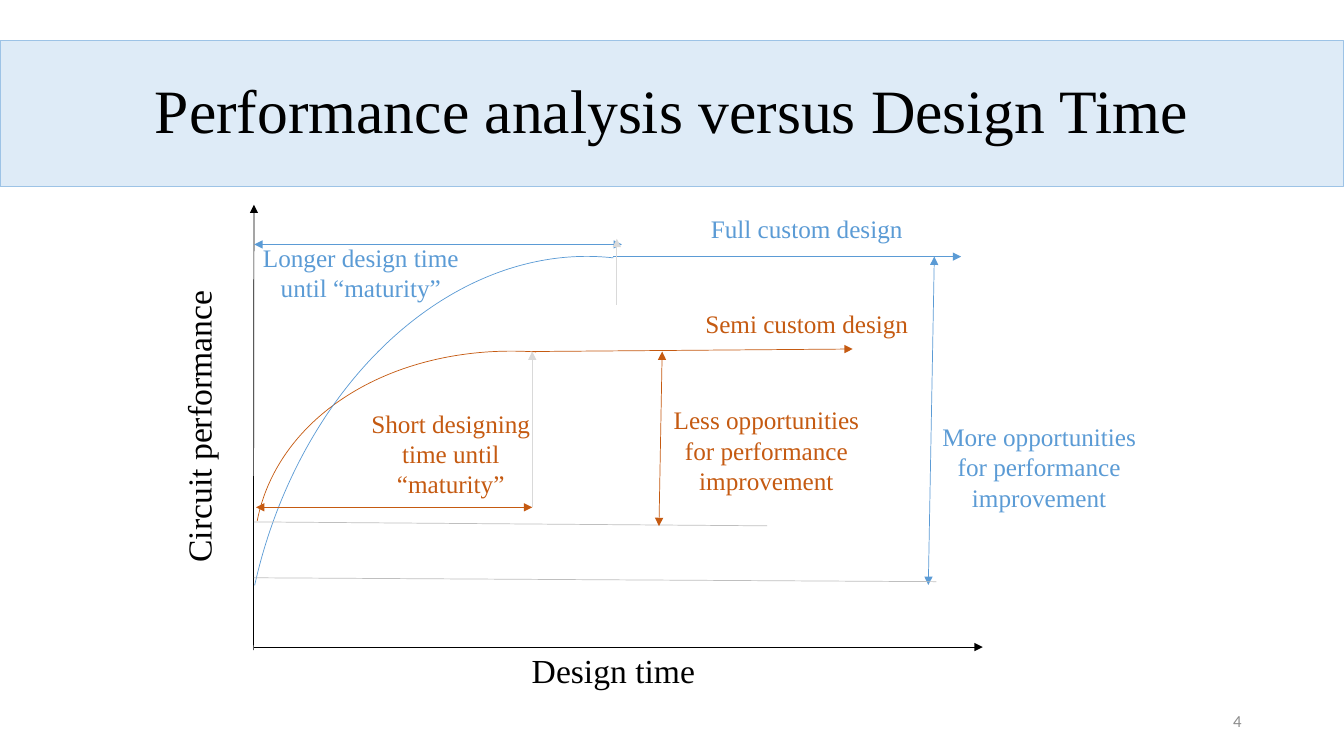
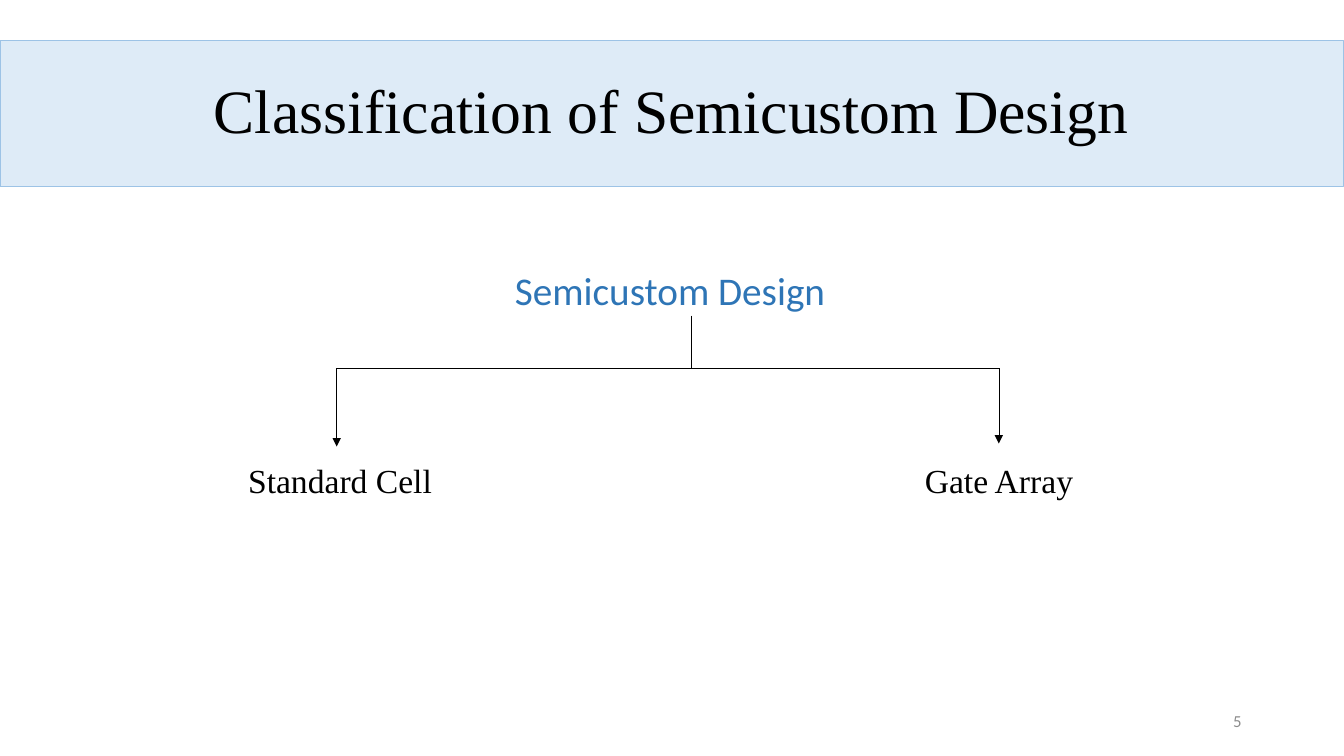
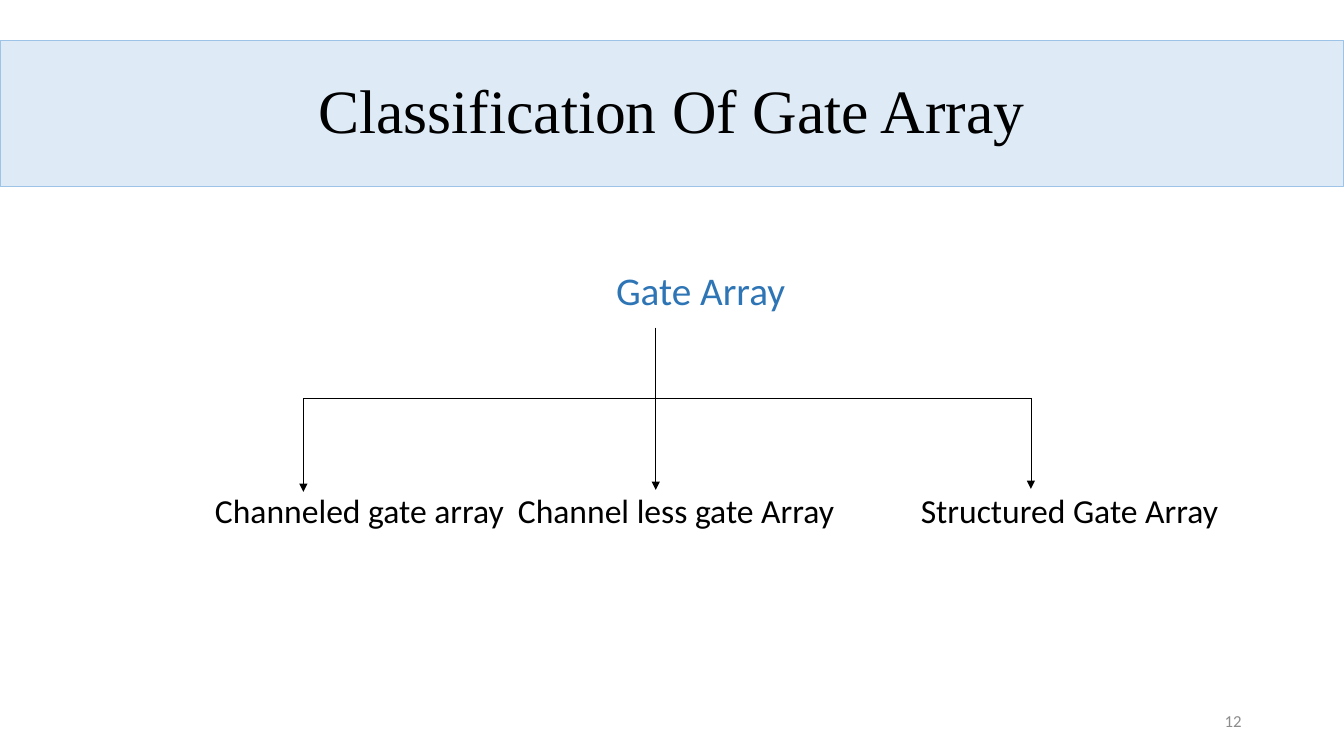
"""Build three slides on design time, semicustom design and gate arrays."""
from dataclasses import dataclass
from typing import NamedTuple

from lxml.etree import SubElement
from pptx import Presentation
from pptx.dml.color import RGBColor
from pptx.enum.shapes import MSO_CONNECTOR, MSO_SHAPE
from pptx.enum.text import MSO_ANCHOR as Anchor, PP_ALIGN as Align
from pptx.oxml.ns import qn
from pptx.slide import Slide
from pptx.text.text import TextFrame
from pptx.util import Pt

BLACK = RGBColor(0x00, 0x00, 0x00)
BAND_FILL = RGBColor(0xDE, 0xEB, 0xF7)
BAND_LINE = RGBColor(0x9D, 0xC3, 0xE6)
FULL_BLUE = RGBColor(0x5B, 0x9B, 0xD5)
ROOT_BLUE = RGBColor(0x2E, 0x75, 0xB6)
SEMI_ORANGE = RGBColor(0xC5, 0x5A, 0x11)
GUIDE_GREY = RGBColor(0xBF, 0xBF, 0xBF)
PALE_GREY = RGBColor(0xD9, 0xD9, 0xD9)
NUMBER_GREY = RGBColor(0x8C, 0x8C, 0x8C)

SERIF = "Times New Roman"
SANS = "Calibri"
SLIDE_WIDTH, SLIDE_HEIGHT = 960, 540
HAIRLINE = 0.5
NODE_WIDTH, NODE_HEIGHT = 246, 36


@dataclass(frozen=True)
class Label:
    text: str
    left: float
    top: float
    width: float
    height: float
    color: RGBColor = BLACK
    size: float = 18
    font: str = SERIF
    align: Align = Align.CENTER
    anchor: Anchor = Anchor.TOP
    wrap: bool = True
    rotation: float = 0


@dataclass(frozen=True)
class Stroke:
    start: tuple[float, float]
    end: tuple[float, float]
    color: RGBColor = BLACK
    head: bool = False
    tail: bool = False


@dataclass(frozen=True)
class Curve:
    left: float
    top: float
    width: float
    height: float
    color: RGBColor
    angles: tuple[float, float]
    rotation: float = 281


class Branch(NamedTuple):
    text: str
    center: float
    drop_x: float
    tip_y: float


@dataclass(frozen=True)
class Tree:
    root: str
    root_center: float
    stem_x: float
    stem_top: float
    rail_y: float
    leaf_y: float
    leaf_font: str
    branches: tuple[Branch, ...]


CURVES = (
    Curve(226.8, 205.9, 316.8, 410.4, SEMI_ORANGE, (162, 208.94)),
    Curve(106.6, 250, 578.9, 440.6, FULL_BLUE, (163.63, 214.43)),
)

STROKES = (
    Stroke((181, 464.4), (181.4, 146.2), tail=True),
    Stroke((181.4, 462.2), (702, 462.2), tail=True),
    Stroke((380.2, 251.1), (609.1, 249.3), SEMI_ORANGE, tail=True),
    Stroke((437.8, 183.3), (686.6, 183.3), FULL_BLUE, tail=True),
    Stroke((181.4, 372.8), (547.9, 375.6), GUIDE_GREY),
    Stroke((473, 251.1), (470.7, 375.8), SEMI_ORANGE, head=True, tail=True),
    Stroke((667.4, 183.3), (663.1, 417.8), FULL_BLUE, head=True, tail=True),
    Stroke((181.4, 412.7), (668.9, 415.5), GUIDE_GREY),
    Stroke((182.9, 362.4), (380.2, 362.4), SEMI_ORANGE, head=True, tail=True),
    Stroke((380.2, 362.4), (380.2, 251.1), PALE_GREY, tail=True),
    Stroke((181.6, 174.6), (444.2, 174.6), FULL_BLUE, head=True, tail=True),
    Stroke((440.6, 217.7), (440.6, 170.6), PALE_GREY, tail=True),
)

LABELS = (
    Label("Design time", 371.9, 460.8, 132.5, 36, size=24, wrap=False),
    Label("Circuit performance", 36.5, 286.8, 210.2, 36, size=24, wrap=False, rotation=270),
    Label("Full custom design", 494.6, 149, 163.4, 28.8, FULL_BLUE),
    Label("Semi custom design", 494.6, 216.7, 163.4, 28.8, SEMI_ORANGE),
    Label("Less opportunities for performance improvement", 465.8, 285.6, 163.4, 72.7, SEMI_ORANGE),
    Label("More opportunities for performance improvement", 660.6, 297.4, 163.4, 72.7, FULL_BLUE),
    Label("Short designing time until “maturity”", 254.7, 288, 134.6, 72.7, SEMI_ORANGE),
    Label("Longer design time until “maturity”", 176.1, 169.6, 163.4, 51.1, FULL_BLUE),
)

SEMICUSTOM = Tree(
    "Semicustom Design", 478.6, 494, 225.4, 263, 342.7, SERIF,
    (
        Branch("Standard Cell", 242.9, 240.5, 319),
        Branch("Gate Array", 713.6, 713.5, 316.8),
    ),
)

GATE_ARRAY = Tree(
    "Gate Array", 500.4, 468.4, 234, 284.4, 364, SANS,
    (
        Branch("Channeled gate array", 256.8, 216.7, 351.4),
        Branch("Channel less gate Array", 482.9, 468.4, 350),
        Branch("Structured Gate Array", 764, 736.4, 349.2),
    ),
)


def write_text(frame: TextFrame, text: str, size: float, font: str, color: RGBColor, align: Align) -> None:
    frame.text = text
    paragraph = frame.paragraphs[0]
    paragraph.alignment = align
    for run in paragraph.runs:
        run.font.size = Pt(size)
        run.font.name = font
        run.font.color.rgb = color


def draw_label(slide: Slide, label: Label) -> None:
    box = slide.shapes.add_textbox(Pt(label.left), Pt(label.top), Pt(label.width), Pt(label.height))
    box.rotation = label.rotation
    frame = box.text_frame
    frame.word_wrap = label.wrap
    frame.vertical_anchor = label.anchor
    write_text(frame, label.text, label.size, label.font, label.color, label.align)


def draw_stroke(slide: Slide, stroke: Stroke) -> None:
    (x1, y1), (x2, y2) = stroke.start, stroke.end
    connector = slide.shapes.add_connector(MSO_CONNECTOR.STRAIGHT, Pt(x1), Pt(y1), Pt(x2), Pt(y2))
    connector.line.color.rgb = stroke.color
    connector.line.width = Pt(HAIRLINE)
    properties = connector.element.spPr
    outline = properties.get_or_add_ln()
    for tag, present in (("a:headEnd", stroke.head), ("a:tailEnd", stroke.tail)):
        if present:
            SubElement(outline, qn(tag), type="triangle")
    SubElement(properties, qn("a:effectLst"))


def draw_curve(slide: Slide, curve: Curve) -> None:
    arc = slide.shapes.add_shape(
        MSO_SHAPE.ARC, Pt(curve.left), Pt(curve.top), Pt(curve.width), Pt(curve.height)
    )
    arc.shadow.inherit = False
    arc.rotation = curve.rotation
    arc.adjustments[0], arc.adjustments[1] = curve.angles
    arc.fill.background()
    arc.line.color.rgb = curve.color
    arc.line.width = Pt(HAIRLINE)


def draw_node(
    slide: Slide, text: str, x: float, y: float, size: float, font: str, color: RGBColor = BLACK
) -> None:
    left, top = x - NODE_WIDTH / 2, y - NODE_HEIGHT / 2
    draw_label(slide, Label(
        text, left, top, NODE_WIDTH, NODE_HEIGHT, color, size, font,
        anchor=Anchor.MIDDLE, wrap=False,
    ))


def draw_tree(slide: Slide, tree: Tree) -> None:
    draw_node(slide, tree.root, tree.root_center, 207, 28, SANS, ROOT_BLUE)
    draw_stroke(slide, Stroke((tree.stem_x, tree.stem_top), (tree.stem_x, tree.rail_y)))
    first, last = tree.branches[0], tree.branches[-1]
    draw_stroke(slide, Stroke((first.drop_x, tree.rail_y), (last.drop_x, tree.rail_y)))
    for branch in tree.branches:
        drop_start, tip = (branch.drop_x, tree.rail_y), (branch.drop_x, branch.tip_y)
        draw_stroke(slide, Stroke(drop_start, tip, tail=True))
        draw_node(slide, branch.text, branch.center, tree.leaf_y, 24, tree.leaf_font)


def add_titled_slide(deck: Presentation, title: str, number: int) -> Slide:
    slide = deck.slides.add_slide(deck.slide_layouts[6])
    band = slide.shapes.add_shape(MSO_SHAPE.RECTANGLE, Pt(0), Pt(28.8), Pt(SLIDE_WIDTH), Pt(104.4))
    band.shadow.inherit = False
    band.fill.solid()
    band.fill.fore_color.rgb = BAND_FILL
    band.line.color.rgb = BAND_LINE
    band.line.width = Pt(0.75)
    band.text_frame.vertical_anchor = Anchor.MIDDLE
    write_text(band.text_frame, title, 44, SERIF, BLACK, Align.CENTER)
    band.text_frame.paragraphs[0].line_spacing = 0.9
    draw_label(slide, Label(
        str(number), 678, 500.4, 216, 28.8, NUMBER_GREY, 12, SANS, Align.RIGHT, Anchor.MIDDLE
    ))
    return slide


def main() -> None:
    deck = Presentation()
    deck.slide_width, deck.slide_height = Pt(SLIDE_WIDTH), Pt(SLIDE_HEIGHT)

    performance = add_titled_slide(deck, "Performance analysis versus Design Time", 4)
    for curve in CURVES:
        draw_curve(performance, curve)
    for stroke in STROKES:
        draw_stroke(performance, stroke)
    for label in LABELS:
        draw_label(performance, label)

    draw_tree(add_titled_slide(deck, "Classification of Semicustom Design", 5), SEMICUSTOM)
    draw_tree(add_titled_slide(deck, "Classification Of Gate Array", 12), GATE_ARRAY)
    deck.save("out.pptx")


if __name__ == "__main__":
    main()
